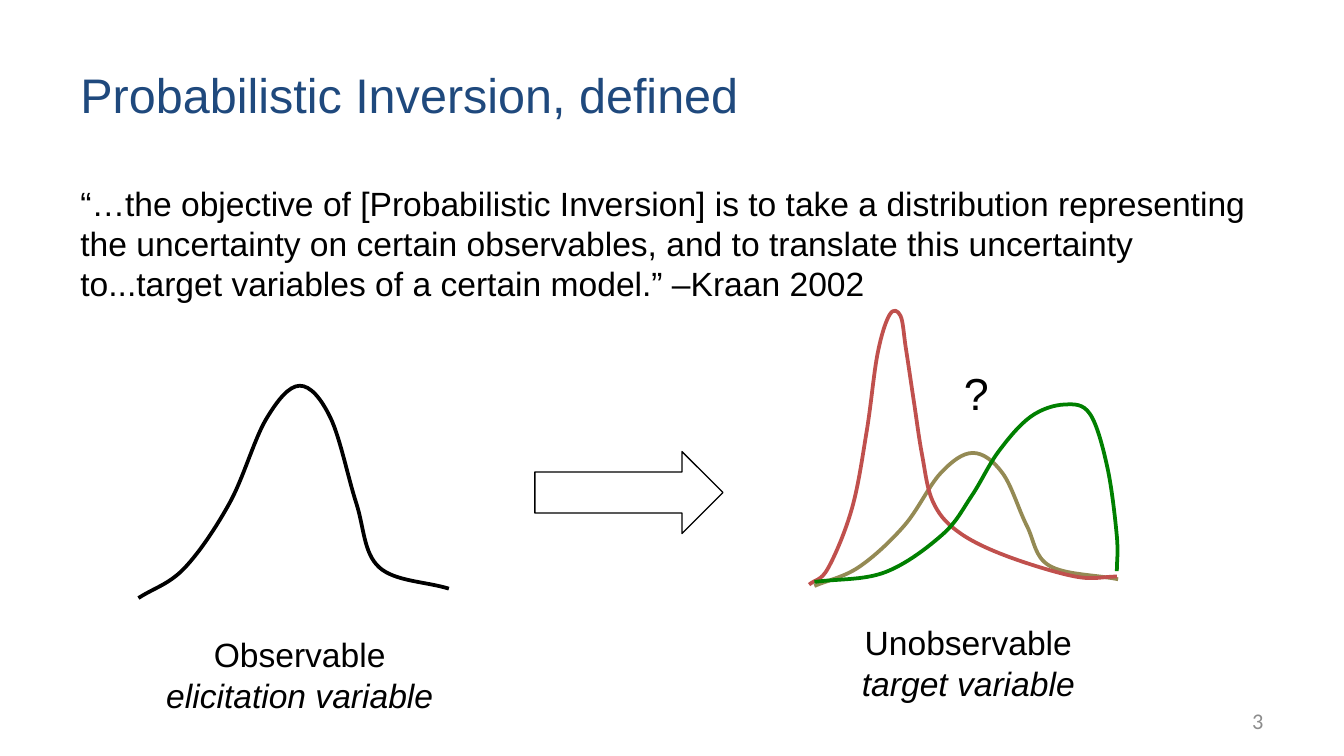
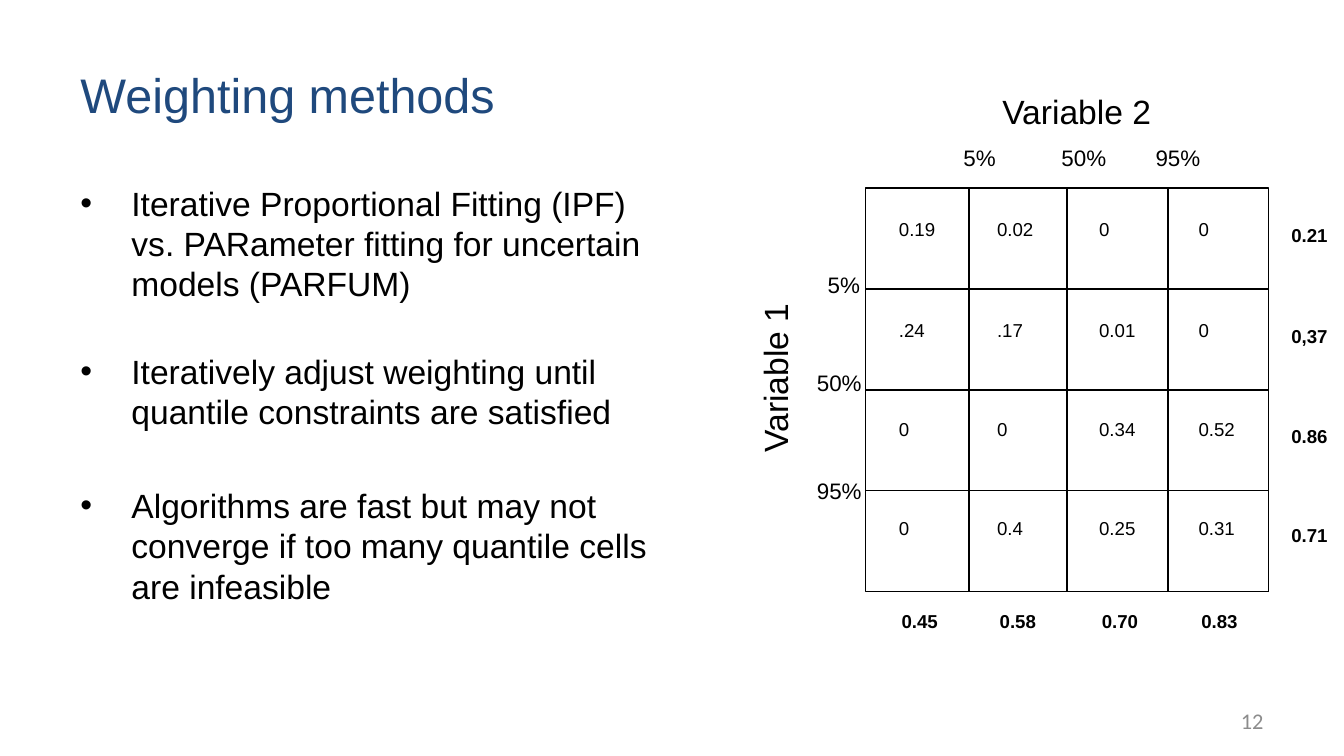
from lxml import etree
from pptx import Presentation
from pptx.dml.color import RGBColor
from pptx.enum.shapes import MSO_CONNECTOR, MSO_SHAPE
from pptx.enum.text import MSO_ANCHOR, MSO_AUTO_SIZE, PP_ALIGN
from pptx.oxml.ns import qn
from pptx.util import Inches, Pt

LEFT, CENTER, RIGHT = PP_ALIGN.LEFT, PP_ALIGN.CENTER, PP_ALIGN.RIGHT
TOP, MIDDLE = MSO_ANCHOR.TOP, MSO_ANCHOR.MIDDLE
GROW, FIXED = MSO_AUTO_SIZE.SHAPE_TO_FIT_TEXT, MSO_AUTO_SIZE.NONE
RECTANGLE, RIGHT_ARROW = MSO_SHAPE.RECTANGLE, MSO_SHAPE.RIGHT_ARROW
STRAIGHT = MSO_CONNECTOR.STRAIGHT

NAVY = RGBColor(0x1F, 0x49, 0x7D)
BLACK = RGBColor(0, 0, 0)
WHITE = RGBColor(0xFF, 0xFF, 0xFF)
GRAY = RGBColor(0x8C, 0x8C, 0x8C)
TAN = RGBColor(0x94, 0x8A, 0x54)
RED = RGBColor(0xC0, 0x50, 0x4D)
GREEN = RGBColor(0, 0x80, 0)

QUOTE = (
    "“…the objective of [Probabilistic Inversion] is to take a distribution "
    "representing the uncertainty on certain observables, and to translate this "
    "uncertainty to...target variables of a certain model.” –Kraan 2002"
)
CURVES = [
    (BLACK, [(1.03, 4.45), (1.37, 4.23), (1.71, 3.74), (1.98, 3.12), (2.23, 2.87),
             (2.46, 3.11), (2.65, 3.74), (2.82, 4.22), (3.34, 4.38)]),
    (TAN, [(6.06, 4.36), (6.39, 4.22), (6.73, 3.91), (7, 3.52), (7.24, 3.37),
           (7.46, 3.52), (7.64, 3.91), (7.81, 4.21), (8.32, 4.31)]),
    (RED, [(6.02, 4.35), (6.16, 4.23), (6.34, 3.78), (6.45, 3.2), (6.53, 2.63),
           (6.62, 2.34), (6.7, 2.35), (6.74, 2.59), (6.8, 2.99), (6.86, 3.38),
           (6.94, 3.73), (7.12, 3.95), (7.47, 4.13), (8, 4.29), (8.31, 4.29)]),
    (GREEN, [(6.06, 4.33), (6.58, 4.26), (7.01, 3.98), (7.23, 3.69), (7.43, 3.36),
             (7.67, 3.1), (7.92, 3.01), (8.11, 3.08), (8.24, 3.48), (8.31, 3.99),
             (8.31, 4.25)]),
]
CAPTIONS = [
    ("Observable", "elicitation variable", (1.12, 4.67, 2.22, 0.71)),
    ("Unobservable", "target variable", (6.3, 4.58, 1.81, 0.71)),
]

METHODS = [
    ("Iterative Proportional Fitting (IPF) vs. PARameter fitting for uncertain "
     "models (PARFUM)", 3.6),
    ("Iteratively adjust weighting until quantile constraints are satisfied", 25.2),
    ("Algorithms are fast but may not converge if too many quantile cells are "
     "infeasible", 28.8),
]
WEIGHTS = [
    ("0.19", "0.02", "0", "0"),
    (".24", ".17", "0.01", "0"),
    ("0", "0", "0.34", "0.52"),
    ("0", "0.4", "0.25", "0.31"),
]
ROW_TOTALS = ("0.21", "0,37", "0.86", "0.71")
COLUMN_TOTALS = ("0.45", "0.58", "0.70", "0.83")
QUANTILES = [
    ("5%", 0.45, (7.07, 1.02), (6.06, 1.97)),
    ("50%", 0.54, (7.8, 1.02), (5.98, 2.7)),
    ("95%", 0.54, (8.5, 1.02), (5.98, 3.5)),
]
GRID_LEFT, GRID_TOP, GRID_SIZE, CELL = 6.44, 1.4, 3, 0.75
COLUMN_EDGES = (7.21, 7.94, 8.69)
WEIGHT_LEFTS = (6.59, 7.32, 8.08, 8.82)
WEIGHT_TOPS = (1.57, 2.32, 3.06, 3.8)


def inches(values):
    return [Inches(value) for value in values]


def add_text(slide, box, lines, size, color=BLACK, font="Arial", align=LEFT,
             anchor=TOP, wrap=True, fit=GROW, bold=False, italic_tail=False):
    label = slide.shapes.add_textbox(*inches(box))
    frame = label.text_frame
    frame.word_wrap = wrap
    frame.auto_size = fit
    frame.vertical_anchor = anchor
    paragraph = frame.paragraphs[0]
    for index, line in enumerate(lines):
        if index and italic_tail:
            paragraph.add_line_break()
        elif index:
            paragraph = frame.add_paragraph()
        paragraph.alignment = align
        run = paragraph.add_run()
        run.text = line
        run.font.size = Pt(size)
        run.font.name = font
        run.font.color.rgb = color
        run.font.bold = bold
        run.font.italic = italic_tail and index > 0
    return label


def add_base(deck, title, number):
    slide = deck.slides.add_slide(deck.slide_layouts[6])
    add_text(slide, (0.5, 0.23, 9, 0.94), [title], 26, NAVY, anchor=MIDDLE, fit=FIXED)
    add_text(slide, (7.17, 5.21, 2.33, 0.3), [number], 12, GRAY, "Calibri", RIGHT,
             MIDDLE, fit=FIXED)
    return slide


def add_body(slide, width, lines, gaps):
    body = add_text(slide, (0.5, 1.31, width, 3.71), lines, 18, fit=FIXED)
    for paragraph, gap in zip(body.text_frame.paragraphs, gaps):
        paragraph.space_before = Pt(gap)
    return body


def add_outline(slide, preset, box, fill=None):
    outline = slide.shapes.add_shape(preset, *inches(box))
    outline.shadow.inherit = False
    if fill is None:
        outline.fill.background()
    else:
        outline.fill.solid()
        outline.fill.fore_color.rgb = fill
    outline.line.color.rgb = BLACK
    outline.line.width = Pt(0.75)


def add_grid_line(slide, x1, y1, x2, y2):
    grid_line = slide.shapes.add_connector(STRAIGHT, *inches((x1, y1, x2, y2)))
    grid_line.line.color.rgb = BLACK
    grid_line.line.width = Pt(1)
    etree.SubElement(grid_line.element.spPr, qn("a:effectLst"))


def add_curve(slide, color, knots):
    points = [tuple(inches(knot)) for knot in knots]
    builder = slide.shapes.build_freeform(*points[0])
    builder.add_line_segments(points[1:], close=False)
    curve = builder.convert_to_shape()
    curve.shadow.inherit = False
    curve.fill.background()
    curve.line.color.rgb = color
    curve.line.width = Pt(2)
    smooth_segments(curve, points)


def smooth_segments(curve, points):
    left, top = (min(axis) for axis in zip(*points))
    local = [(x - left, y - top) for x, y in points]

    def mirrored(end, inner):
        return tuple(2 * e - i for e, i in zip(end, inner))

    padded = [mirrored(*local[:2]), *local, mirrored(local[-1], local[-2])]
    segments = list(curve.element.iter(qn("a:lnTo")))
    for segment, before, start, end, after in zip(
            segments, padded, padded[1:], padded[2:], padded[3:]):
        leave = [s + (e - b) / 6 for b, s, e in zip(before, start, end)]
        arrive = [e - (a - s) / 6 for s, e, a in zip(start, end, after)]
        bezier = etree.Element(qn("a:cubicBezTo"))
        for x, y in (leave, arrive, end):
            etree.SubElement(bezier, qn("a:pt"), x=str(round(x)), y=str(round(y)))
        segment.getparent().replace(segment, bezier)


def build_inversion(deck):
    slide = add_base(deck, "Probabilistic Inversion, defined", "3")
    add_body(slide, 9, [QUOTE], [3.6])
    add_outline(slide, RIGHT_ARROW, (3.98, 3.36, 1.4, 0.61), WHITE)
    for color, knots in CURVES:
        add_curve(slide, color, knots)
    for heading, variable, box in CAPTIONS:
        add_text(slide, box, [heading, variable], 18, align=CENTER, wrap=False,
                 italic_tail=True)
    add_text(slide, (7.07, 2.67, 0.39, 0.5), ["?"], 24, align=CENTER, wrap=False)


def build_weighting(deck):
    slide = add_base(deck, "Weighting methods", "12")
    methods, gaps = zip(*METHODS)
    body = add_body(slide, 4.5, methods, gaps)
    for paragraph in body.text_frame.paragraphs:
        properties = paragraph._p.get_or_add_pPr()
        properties.set("marL", str(Inches(0.38)))
        properties.set("indent", str(-Inches(0.38)))
        etree.SubElement(properties, qn("a:buFont"), typeface="Arial")
        etree.SubElement(properties, qn("a:buChar"), char="•")

    add_outline(slide, RECTANGLE, (GRID_LEFT, GRID_TOP, GRID_SIZE, GRID_SIZE))
    for step in (2, 3):
        add_outline(slide, RECTANGLE,
                    (GRID_LEFT + step * CELL, GRID_TOP + step * CELL, CELL, CELL))
    right, bottom = GRID_LEFT + GRID_SIZE, GRID_TOP + GRID_SIZE
    for step, x in enumerate(COLUMN_EDGES, start=1):
        y = GRID_TOP + step * CELL
        add_grid_line(slide, GRID_LEFT, y, right, y)
        add_grid_line(slide, x, GRID_TOP, x, bottom)

    for quantile, width, *corners in QUANTILES:
        for corner in corners:
            add_text(slide, (*corner, width, 0.3), [quantile], 12, wrap=False)
    add_text(slide, (7.36, 0.63, 1.33, 0.4), ["Variable 2"], 18, wrap=False)
    row_title = add_text(slide, (5.1, 2.6, 1.33, 0.4), ["Variable 1"], 18, wrap=False)
    row_title.rotation = 270

    def add_weight(x, y, weight, bold=False):
        add_text(slide, (x, y, 0.48, 0.27), [weight], 10, bold=bold)

    for y, weights, total in zip(WEIGHT_TOPS, WEIGHTS, ROW_TOTALS):
        for x, weight in zip(WEIGHT_LEFTS, weights):
            add_weight(x, y, weight)
        add_weight(9.51, y + 0.05, total, True)
    for x, total in zip(WEIGHT_LEFTS, COLUMN_TOTALS):
        add_weight(x + 0.02, 4.49, total, True)


def main():
    deck = Presentation()
    deck.slide_width = Inches(10)
    deck.slide_height = deck.slide_width * 9 // 16
    build_inversion(deck)
    build_weighting(deck)
    deck.save("out.pptx")


if __name__ == "__main__":
    main()
